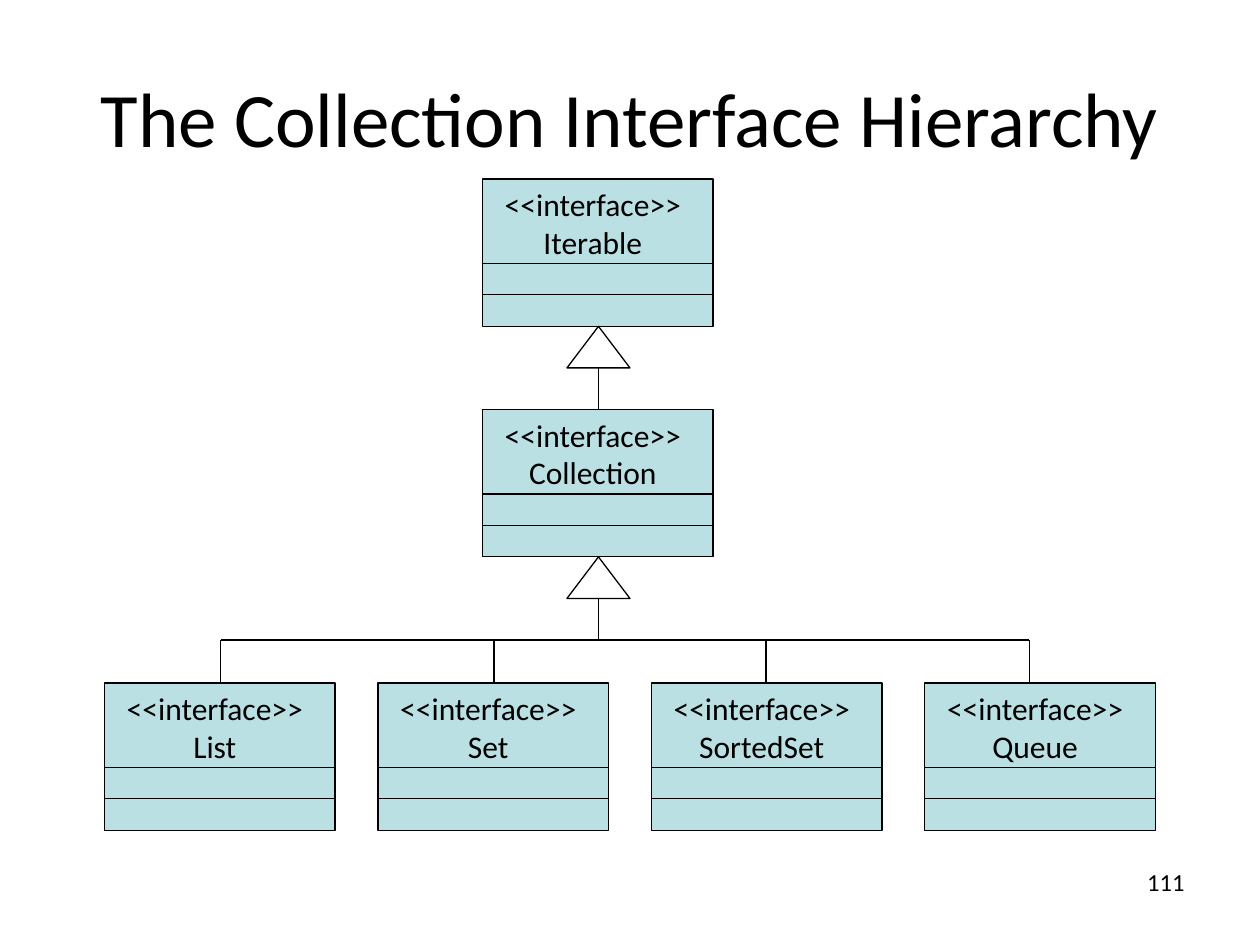
"""Builds a slide with a UML diagram of the Collection interface hierarchy."""
from lxml import etree
from pptx import Presentation
from pptx.dml.color import RGBColor
from pptx.enum.shapes import MSO_CONNECTOR, MSO_SHAPE
from pptx.enum.text import MSO_ANCHOR, PP_ALIGN
from pptx.oxml.ns import qn
from pptx.util import Inches, Pt

RECTANGLE = MSO_SHAPE.RECTANGLE
TRIANGLE = MSO_SHAPE.ISOSCELES_TRIANGLE
STRAIGHT = MSO_CONNECTOR.STRAIGHT
CENTER, RIGHT = PP_ALIGN.CENTER, PP_ALIGN.RIGHT
MIDDLE = MSO_ANCHOR.MIDDLE

COLORS = {"ink": "000000", "box": "BBE0E3"}
FONT = "Calibri"
BOX_WIDTH, BOX_HEIGHT = 1.83, 1.17
COMPARTMENTS = (0.67, 0.92)
ARROW_WIDTH, ARROW_HEIGHT = 0.5, 0.33
TRUNK_X, RAIL_Y = 4.75, 5.08
PARENT_LEFT = 3.83
ITERABLE_TOP, COLLECTION_TOP, CHILD_TOP = 1.42, 3.25, 5.42
CHILD_LEFT, CHILD_PITCH = 0.83, 2.17
CHILDREN = ("List", "Set", "SortedSet", "Queue")
DROPS = (1.75, 3.92, 6.08, 8.17)


class Diagram:
    def __init__(self, slide):
        self.slide = slide
        self.ink = RGBColor.from_string(COLORS["ink"])
        self.fill = RGBColor.from_string(COLORS["box"])

    def set_text(self, frame, lines, size, align):
        frame.word_wrap = True
        frame.text = "\n".join(lines)
        for paragraph in frame.paragraphs:
            paragraph.alignment = align
            paragraph.font.size = Pt(size)
            paragraph.font.name = FONT
            paragraph.font.color.rgb = self.ink

    def title(self, text, left, top, width, height):
        heading = self.slide.shapes.title
        heading.left, heading.top = Inches(left), Inches(top)
        heading.width, heading.height = Inches(width), Inches(height)
        heading.text_frame.vertical_anchor = MIDDLE
        self.set_text(heading.text_frame, [text], 44, CENTER)

    def label(self, lines, left, top, width, height, size, align):
        label = self.slide.shapes.add_textbox(
            Inches(left), Inches(top), Inches(width), Inches(height))
        self.set_text(label.text_frame, lines, size, align)

    def outline(self, preset, left, top, width, height):
        outline = self.slide.shapes.add_shape(
            preset, Inches(left), Inches(top), Inches(width), Inches(height))
        outline.shadow.inherit = False
        outline.fill.background()
        outline.line.color.rgb = self.ink
        outline.line.width = Pt(0.75)
        return outline

    def line(self, x1, y1, x2, y2):
        line = self.slide.shapes.add_connector(
            STRAIGHT, Inches(x1), Inches(y1), Inches(x2), Inches(y2))
        line.line.color.rgb = self.ink
        line.line.width = Pt(0.75)
        etree.SubElement(line._element.spPr, qn("a:effectLst"))

    def interface(self, name, left, top):
        box = self.outline(RECTANGLE, left, top, BOX_WIDTH, BOX_HEIGHT)
        box.fill.solid()
        box.fill.fore_color.rgb = self.fill
        for offset in COMPARTMENTS:
            self.line(left, top + offset, left + BOX_WIDTH, top + offset)
        self.label(["<<interface>>", name], left, top, 1.75, 0.7, 18, CENTER)

    def inheritance(self, parent_top, end_y):
        tip = parent_top + BOX_HEIGHT
        self.outline(TRIANGLE, TRUNK_X - ARROW_WIDTH / 2, tip, ARROW_WIDTH, ARROW_HEIGHT)
        self.line(TRUNK_X, tip + ARROW_HEIGHT, TRUNK_X, end_y)


def main():
    deck = Presentation()
    deck.slide_width, deck.slide_height = Inches(10), Inches(7.5)
    diagram = Diagram(deck.slides.add_slide(deck.slide_layouts[5]))

    diagram.title("The Collection Interface Hierarchy", 0, 0.3, 10, 1.25)
    diagram.label(["111"], 7.17, 6.83, 2.33, 0.52, 14, RIGHT)

    diagram.interface("Iterable", PARENT_LEFT, ITERABLE_TOP)
    diagram.inheritance(ITERABLE_TOP, COLLECTION_TOP)
    diagram.interface("Collection", PARENT_LEFT, COLLECTION_TOP)
    diagram.inheritance(COLLECTION_TOP, RAIL_Y)

    diagram.line(DROPS[0], RAIL_Y, DROPS[-1], RAIL_Y)
    for index, (name, drop) in enumerate(zip(CHILDREN, DROPS)):
        diagram.interface(name, CHILD_LEFT + index * CHILD_PITCH, CHILD_TOP)
        diagram.line(drop, RAIL_Y, drop, CHILD_TOP)

    deck.save("out.pptx")


if __name__ == "__main__":
    main()
